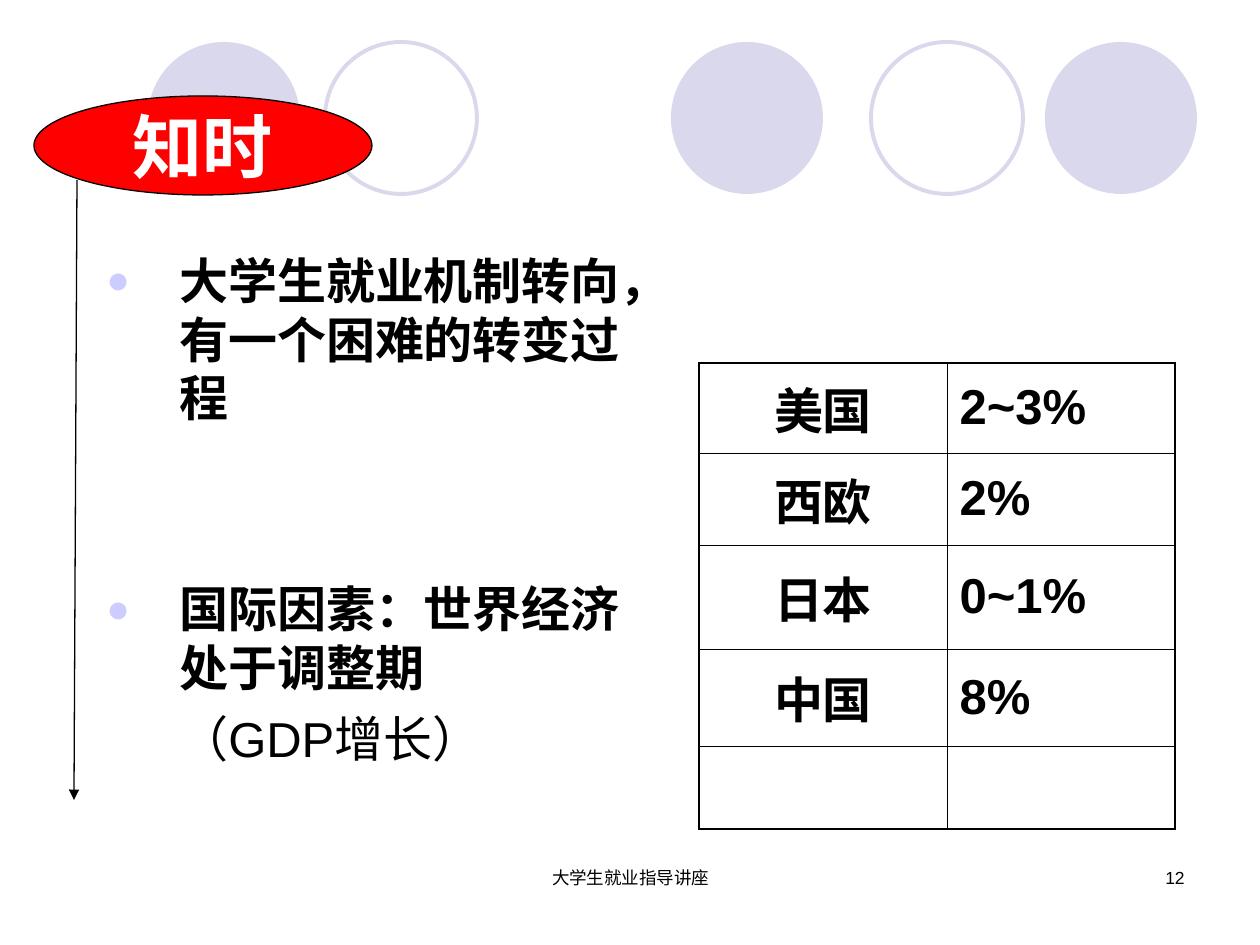
from lxml import etree
from pptx import Presentation
from pptx import util as u
from pptx.dml.color import RGBColor
from pptx.enum import shapes, text
from pptx.oxml.ns import qn

EMU_PER_PX = 914400 // 126
FONT = "Arial"
COLORS = {"black": "000000", "white": "FFFFFF", "red": "FF0000",
          "lavender": "D9D8EC", "bullet": "CCCCFF"}

CIRCLE_SIZE = 152
CIRCLES = [  # left, top, filled
    (671, 42, True), (1045, 42, True), (148, 42, True),
    (871, 42, False), (325, 42, False),
]
TITLE = "知时"
BODY = [  # text, bulleted, space before in points
    ("大学生就业机制转向，有一个困难的转变过程", True, 0),
    ("国际因素：世界经济处于调整期", True, 87),
    ("（GDP增长）", False, 7),
]
GROWTH = [("美国", "2~3%"), ("西欧", "2%"), ("日本", "0~1%"), ("中国", "8%"), ("", "")]
COLUMN_WIDTHS = [248, 228]
ROW_HEIGHTS = [90, 92, 104, 97, 83]
FOOTERS = [  # text, left, width, alignment
    ("大学生就业指导讲座", 431, 399, text.PP_ALIGN.CENTER),
    ("12", 903, 294, text.PP_ALIGN.RIGHT),
]


def px(*lengths):
    return [u.Emu(length * EMU_PER_PX) for length in lengths]


def color(name):
    return RGBColor.from_string(COLORS[name])


def add_xml(parent, tag, **attributes):
    return etree.SubElement(parent, qn(tag), attributes)


def format_runs(paragraph, size, bold=False, color_name="black"):
    for run in paragraph.runs:
        run.font.name = FONT
        run.font.size = u.Pt(size)
        run.font.bold = bold
        run.font.color.rgb = color(color_name)


def add_ellipse(slide, box, fill=None, line=None, line_width=0.75):
    ellipse = slide.shapes.add_shape(shapes.MSO_SHAPE.OVAL, *px(*box))
    ellipse.shadow.inherit = False
    if fill:
        ellipse.fill.solid()
        ellipse.fill.fore_color.rgb = color(fill)
    else:
        ellipse.fill.background()
    if line:
        ellipse.line.color.rgb = color(line)
        ellipse.line.width = u.Pt(line_width)
    else:
        ellipse.line.fill.background()
    return ellipse


def add_text_box(slide, box):
    frame = slide.shapes.add_textbox(*px(*box)).text_frame
    frame.word_wrap = True
    return frame


def add_circles(slide):
    for left, top, filled in CIRCLES:
        box = (left, top, CIRCLE_SIZE, CIRCLE_SIZE)
        if filled:
            add_ellipse(slide, box, fill="lavender")
        else:
            add_ellipse(slide, box, line="lavender", line_width=2.25)


def add_body(slide):
    frame = add_text_box(slide, (94, 244, 557, 535))
    frame.text = "\n".join(content for content, _, _ in BODY)
    indent = px(73)[0]
    for paragraph, (_, bulleted, space) in zip(frame.paragraphs, BODY):
        properties = paragraph._p.get_or_add_pPr()
        properties.set("marL", str(indent))
        properties.set("indent", str(-indent if bulleted else 0))
        if bulleted:
            bullet_color = add_xml(properties, "a:buClr")
            add_xml(bullet_color, "a:srgbClr", val=COLORS["bullet"])
            add_xml(properties, "a:buSzPct", val="80000")
            add_xml(properties, "a:buFont", typeface=FONT)
            add_xml(properties, "a:buChar", char="●")
        paragraph.space_before = u.Pt(space)
        format_runs(paragraph, 28, bold=bulleted)


def add_title(slide):
    oval = add_ellipse(slide, (34, 96, 338, 99), fill="red", line="black")
    frame = oval.text_frame
    frame.word_wrap = False
    frame.vertical_anchor = text.MSO_ANCHOR.MIDDLE
    frame.text = TITLE
    paragraph = frame.paragraphs[0]
    paragraph.alignment = text.PP_ALIGN.CENTER
    format_runs(paragraph, 40, bold=True, color_name="white")


def add_arrow(slide):
    arrow = slide.shapes.add_connector(shapes.MSO_CONNECTOR.STRAIGHT, *px(77, 180, 74, 800))
    arrow.line.color.rgb = color("black")
    arrow.line.width = u.Pt(0.75)
    add_xml(arrow.line._get_or_add_ln(), "a:tailEnd", type="triangle")
    add_xml(arrow._element.spPr, "a:effectLst")


def set_borders(cell, outer_sides):
    """Draw all four borders, thicker on the sides at the table's edge."""
    properties = cell._tc.get_or_add_tcPr()
    for side in "LRTB":
        width = u.Pt(1.08 if side in outer_sides else 0.45)
        line = add_xml(properties, f"a:ln{side}", w=str(width))
        fill = add_xml(line, "a:solidFill")
        add_xml(fill, "a:srgbClr", val=COLORS["black"])


def add_growth_table(slide):
    rows, columns = len(GROWTH), len(COLUMN_WIDTHS)
    table = slide.shapes.add_table(
        rows, columns, *px(699, 363, sum(COLUMN_WIDTHS), sum(ROW_HEIGHTS))).table
    table.first_row = table.horz_banding = False
    for column, width in zip(table.columns, px(*COLUMN_WIDTHS)):
        column.width = width
    for row, height in zip(table.rows, px(*ROW_HEIGHTS)):
        row.height = height
    for r, values in enumerate(GROWTH):
        for c, value in enumerate(values):
            cell = table.cell(r, c)
            outer_sides = "L" if c == 0 else "R"
            outer_sides += {0: "T", rows - 1: "B"}.get(r, "")
            set_borders(cell, outer_sides)
            cell.fill.background()
            cell.vertical_anchor = text.MSO_ANCHOR.MIDDLE
            cell.text_frame.text = value
            paragraph = cell.text_frame.paragraphs[0]
            paragraph.alignment = text.PP_ALIGN.CENTER if c == 0 else text.PP_ALIGN.LEFT
            format_runs(paragraph, 28, bold=True)


def add_footers(slide):
    for content, left, width, alignment in FOOTERS:
        frame = add_text_box(slide, (left, 861, width, 63))
        frame.text = content
        frame.paragraphs[0].alignment = alignment
        format_runs(frame.paragraphs[0], 10)


def main():
    presentation = Presentation()
    presentation.slide_width, presentation.slide_height = px(1260, 945)
    slide = presentation.slides.add_slide(presentation.slide_layouts[6])
    add_circles(slide)
    add_body(slide)
    add_title(slide)
    add_arrow(slide)
    add_growth_table(slide)
    add_footers(slide)
    presentation.save("out.pptx")


if __name__ == "__main__":
    main()
